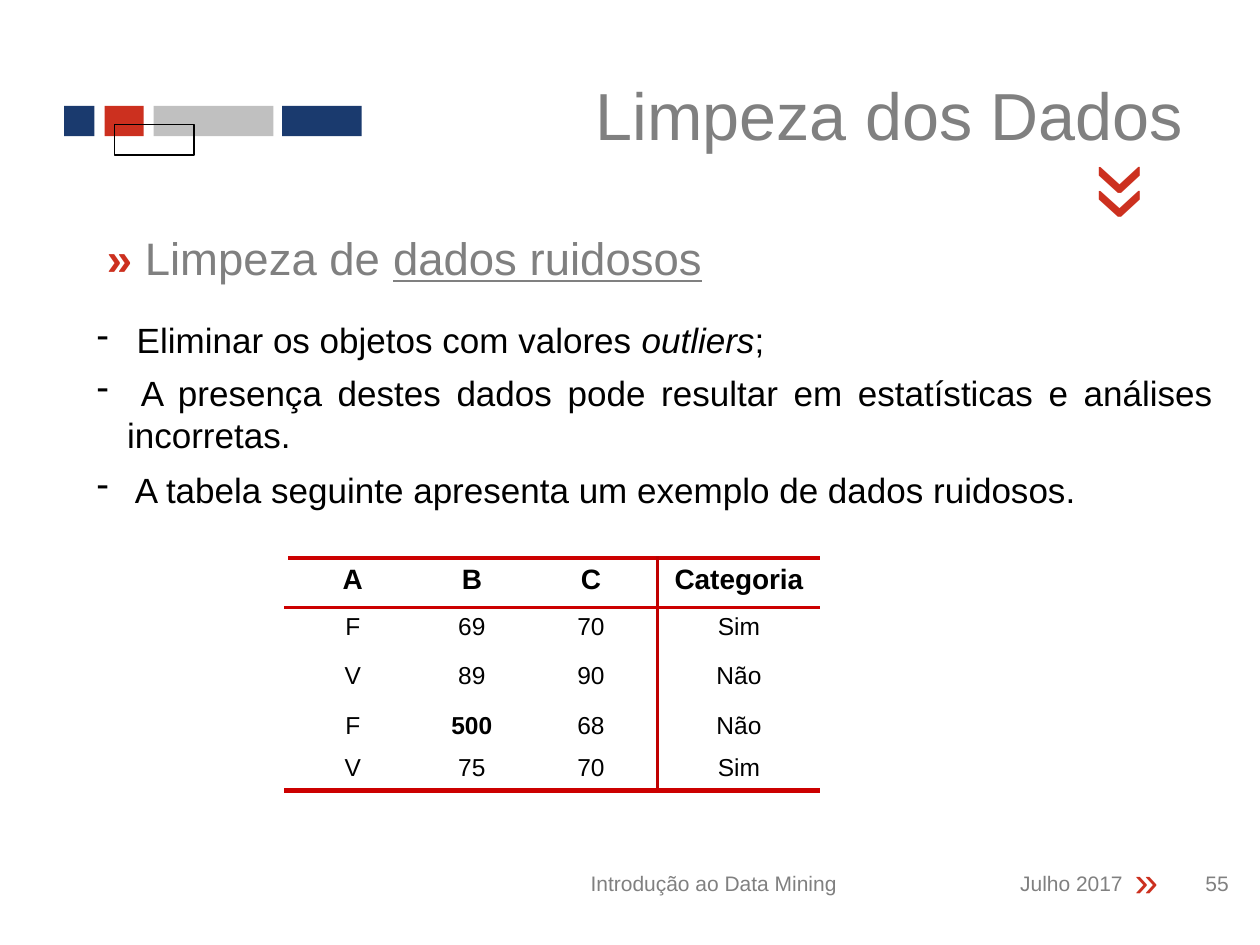
from dataclasses import dataclass

from lxml import etree
from pptx import Presentation
from pptx import util as u
from pptx.dml.color import RGBColor
from pptx.enum import shapes, text
from pptx.oxml.ns import qn

ALIGN = text.PP_ALIGN
ANCHOR = text.MSO_ANCHOR


@dataclass(frozen=True)
class Theme:
    font: str = "Arial"
    navy: str = "1A3A6E"
    red: str = "CC301F"
    silver: str = "C0C0C0"
    gray: str = "808080"
    black: str = "000000"
    white: str = "FFFFFF"
    rule: str = "CC0000"
    divider: str = "C00000"
    title: int = 38
    heading: int = 26
    body: int = 20
    table_head: int = 16
    table_body: int = 14
    footer: int = 12
    chevron: int = 24
    big_chevron: int = 60


class SlideBuilder:
    def __init__(self, deck, theme):
        self.theme = theme
        self.page = deck.slides.add_slide(deck.slide_layouts[6])

    def bar(self, left, top, width, height, fill=None):
        """A filled rectangle, or an outlined one when no fill is given."""
        bar = self.page.shapes.add_shape(
            shapes.MSO_SHAPE.RECTANGLE, *map(u.Inches, (left, top, width, height)))
        bar.shadow.inherit = False
        if fill:
            bar.fill.solid()
            bar.fill.fore_color.rgb = RGBColor.from_string(fill)
            bar.line.fill.background()
        else:
            bar.fill.background()
            bar.line.color.rgb = RGBColor.from_string(self.theme.black)
            bar.line.width = u.Pt(0.75)

    def style(self, para, size, color, align=ALIGN.LEFT, bold=None):
        para.alignment = align
        font = para.font
        font.name, font.size, font.bold = self.theme.font, u.Pt(size), bold
        font.color.rgb = RGBColor.from_string(color)

    def text(self, place, paras, size, color, align=ALIGN.LEFT,
             anchor=ANCHOR.TOP, dashed=False):
        """Each paragraph is a list of (words, font settings) spans."""
        box = self.page.shapes.add_textbox(*map(u.Inches, place))
        frame = box.text_frame
        frame.word_wrap = True
        frame.vertical_anchor = anchor
        for index, spans in enumerate(paras):
            para = frame.add_paragraph() if index else frame.paragraphs[0]
            if index:
                para.space_before = u.Pt(6)
            if dashed:
                self.dash(para)
            self.style(para, size, color, align)
            for words, settings in spans:
                span = para.add_run()
                span.text = words
                for name, value in settings.items():
                    if name == "color":
                        span.font.color.rgb = RGBColor.from_string(value)
                    else:
                        setattr(span.font, name, value)
        return box

    def dash(self, para):
        props = para._p.get_or_add_pPr()
        indent = u.Inches(0.24)
        props.set("marL", str(indent))
        props.set("indent", str(-indent))
        etree.SubElement(props, qn("a:buChar")).set("char", "-")

    def border(self, cell, side, color, width):
        line = etree.SubElement(cell._tc.get_or_add_tcPr(), qn(f"a:ln{side}"))
        if not color:
            line.set("w", "0")
            etree.SubElement(line, qn("a:noFill"))
            return
        line.set("w", str(u.Pt(width)))
        fill = etree.SubElement(line, qn("a:solidFill"))
        etree.SubElement(fill, qn("a:srgbClr")).set("val", color)

    def table(self, place, widths, heights, rows, bold_cells):
        theme = self.theme
        frame = self.page.shapes.add_table(
            len(rows), len(widths), *map(u.Inches, place))
        grid = frame.table
        grid.first_row = grid.horz_banding = False
        for column, width in zip(grid.columns, widths):
            column.width = u.Inches(width)
        for row, height in zip(grid.rows, heights):
            row.height = u.Inches(height)
        last_row, last_column = len(rows) - 1, len(widths) - 1
        for r, values in enumerate(rows):
            for c, value in enumerate(values):
                cell = grid.cell(r, c)
                para = cell.text_frame.paragraphs[0]
                para.text = value
                size = theme.table_body if r else theme.table_head
                self.style(para, size, theme.black, ALIGN.CENTER,
                           r == 0 or (r, c) in bold_cells)
                left = {0: theme.white, last_column: theme.divider}.get(c)
                right = theme.divider if c == last_column - 1 else None
                top = theme.rule if r < 2 else None
                bottom = theme.rule if r in (0, last_row) else None
                self.border(cell, "L", left, 2.25)
                self.border(cell, "R", right, 2.25)
                self.border(cell, "T", top, 2.25)
                self.border(cell, "B", bottom, 3 if r == last_row else 2.25)
                cell.fill.background()


def main():
    theme = Theme()
    deck = Presentation()
    deck.slide_width, deck.slide_height = u.Inches(10), u.Inches(7.5)
    slide = SlideBuilder(deck, theme)

    # Colour bars
    for left, width, fill in ((0.51, 0.24, theme.navy), (0.83, 0.31, theme.red),
                              (1.22, 0.95, theme.silver), (2.24, 0.63, theme.navy)):
        slide.bar(left, 0.84, width, 0.24, fill)
    slide.bar(0.91, 0.99, 0.63, 0.24)

    # Title and heading
    slide.text((3.03, 0.44, 6.61, 0.93), [[("Limpeza dos Dados ", {})]],
               theme.title, theme.gray, ALIGN.RIGHT, ANCHOR.MIDDLE)
    slide.text((0.75, 1.78, 8.43, 0.54),
               [[("» ", {"bold": True, "color": theme.red}),
                 ("Limpeza de ", {}), ("dados ruidosos", {"underline": True})]],
               theme.heading, theme.gray)

    # Chevrons: one pointing down, one turned to point right
    down = slide.text((8.5, 1.03, 0.55, 1.1), [[("«", {})]],
                      theme.big_chevron, theme.red)
    down.rotation = 270
    onward = slide.text((8.78, 6.82, 0.51, 0.5), [[("«", {})]],
                        theme.chevron, theme.red)
    onward.text_frame._txBody.bodyPr.set("rot", str(180 * 60000))

    # Bullet points
    slide.text((0.67, 2.48, 9.06, 1.19),
               [[(" Eliminar os objetos com valores ", {}),
                 ("outliers", {"italic": True}), (";", {})],
                [(" A presença destes dados pode resultar em estatísticas "
                  "e análises incorretas. ", {})]],
               theme.body, theme.black, ALIGN.JUSTIFY, dashed=True)
    slide.text((0.67, 3.67, 9.06, 0.44),
               [[(" A tabela seguinte apresenta um exemplo de dados ruidosos.", {})]],
               theme.body, theme.black, ALIGN.JUSTIFY, dashed=True)

    # Noisy data table, with the outlier in bold
    slide.table((2.27, 4.43, 4.23, 1.84), (1.06, 0.83, 1.06, 1.29),
                (0.39, 0.39, 0.39, 0.31, 0.34),
                (("A", "B", "C", "Categoria"),
                 ("F", "69", "70", "Sim"),
                 ("V", "89", "90", "Não"),
                 ("F", "500", "68", "Não"),
                 ("V", "75", "70", "Sim")), {(3, 1)})

    # Footer
    for left, width, words, align in (
            (4.13, 3.07, "Introdução ao Data Mining", ALIGN.CENTER),
            (7.2, 1.81, "Julho 2017", ALIGN.RIGHT),
            (9.06, 0.79, "55", ALIGN.RIGHT)):
        slide.text((left, 6.73, width, 0.55), [[(words, {})]],
                   theme.footer, theme.gray, align, ANCHOR.MIDDLE)

    deck.save("out.pptx")


if __name__ == "__main__":
    main()
